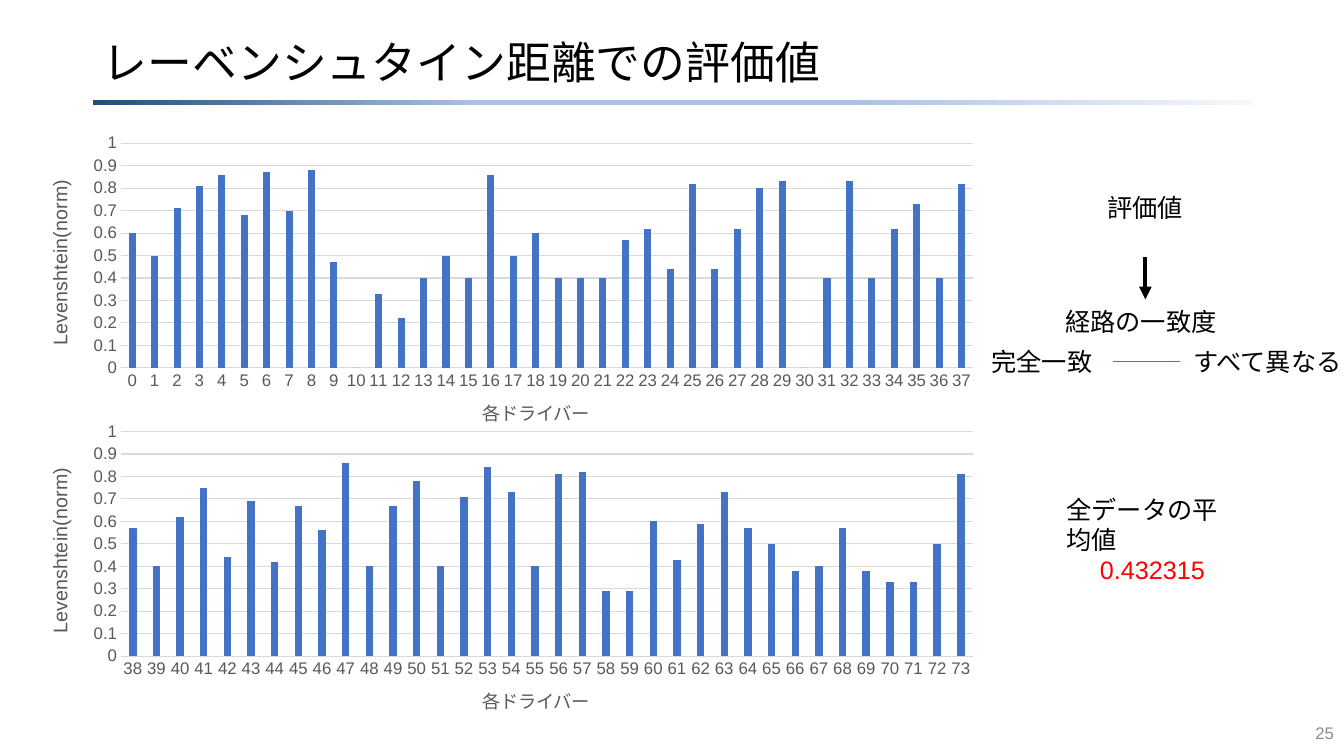
from lxml.etree import SubElement
from pptx import Presentation
from pptx.chart.data import CategoryChartData
from pptx.dml.color import RGBColor
from pptx.enum.chart import XL_CHART_TYPE, XL_TICK_MARK
from pptx.enum.shapes import MSO_CONNECTOR, MSO_SHAPE
from pptx.enum.text import MSO_ANCHOR, PP_ALIGN
from pptx.oxml import parse_xml
from pptx.oxml.ns import nsdecls, qn
from pptx.util import Inches, Pt

BLACK = RGBColor(0x00, 0x00, 0x00)
WHITE = RGBColor(0xFF, 0xFF, 0xFF)
RED = RGBColor(0xFF, 0x00, 0x00)
BLUE = RGBColor(0x44, 0x72, 0xC4)
AXIS_GRAY = RGBColor(0x59, 0x59, 0x59)
GRID_GRAY = RGBColor(0xD9, 0xD9, 0xD9)
NUMBER_GRAY = RGBColor(0x8C, 0x8C, 0x8C)
NAVY = RGBColor(0x1F, 0x4E, 0x79)
LIGHT_BLUE = RGBColor(0xAB, 0xC0, 0xE4)
PALE_BLUE = RGBColor(0xF6, 0xF8, 0xFC)

FIRST_DRIVERS = [
    0.6, 0.5, 0.71, 0.81, 0.86, 0.68, 0.87, 0.7, 0.88, 0.47, 0, 0.33, 0.22,
    0.4, 0.5, 0.4, 0.86, 0.5, 0.6, 0.4, 0.4, 0.4, 0.57, 0.62, 0.44, 0.82,
    0.44, 0.62, 0.8, 0.83, 0, 0.4, 0.83, 0.4, 0.62, 0.73, 0.4, 0.82]
LATER_DRIVERS = [
    0.57, 0.4, 0.62, 0.75, 0.44, 0.69, 0.42, 0.67, 0.56, 0.86, 0.4, 0.67,
    0.78, 0.4, 0.71, 0.84, 0.73, 0.4, 0.81, 0.82, 0.29, 0.29, 0.6, 0.43,
    0.59, 0.73, 0.57, 0.5, 0.38, 0.4, 0.57, 0.38, 0.33, 0.33, 0.5, 0.81]


def place(parent, index, **fractions):
    """Give a chart part a manual layout, in fractions of the chart."""
    for old_layout in parent.findall(qn("c:layout")):
        parent.remove(old_layout)
    layout = parse_xml(f"<c:layout {nsdecls('c')}><c:manualLayout/></c:layout>")
    manual = layout[0]
    if "w" in fractions:
        SubElement(manual, qn("c:layoutTarget")).set("val", "inner")
    for side in ("x", "y"):
        SubElement(manual, qn(f"c:{side}Mode")).set("val", "edge")
    for name, value in fractions.items():
        SubElement(manual, qn(f"c:{name}")).set("val", str(value))
    parent.insert(index, layout)


class SlideBuilder:
    """Holds the text style and the slide being built."""
    font_name = "Arial"

    def __init__(self, presentation):
        self.slide = presentation.slides.add_slide(presentation.slide_layouts[5])
        self.slide.background.fill.solid()
        self.slide.background.fill.fore_color.rgb = WHITE

    def style(self, font, size, color):
        font.name = self.font_name
        font.size = Pt(size)
        font.bold = False
        font.color.rgb = color

    def title(self, text, left, top, width, height):
        title = self.slide.shapes.title
        title.left, title.top = Inches(left), Inches(top)
        title.width, title.height = Inches(width), Inches(height)
        frame = title.text_frame
        frame.text = text
        frame.vertical_anchor = MSO_ANCHOR.MIDDLE
        paragraph = frame.paragraphs[0]
        paragraph.alignment = PP_ALIGN.LEFT
        paragraph.line_spacing = 0.9
        self.style(paragraph.runs[0].font, 32, BLACK)

    def gradient_bar(self, left, top, width, height, stops):
        bar = self.slide.shapes.add_shape(
            MSO_SHAPE.RECTANGLE, Inches(left), Inches(top), Inches(width), Inches(height))
        bar.shadow.inherit = False
        bar.line.fill.background()
        bar.fill.gradient()
        bar.fill.gradient_angle = 0
        stop_list = bar.element.spPr.find(".//" + qn("a:gsLst"))
        for old_stop in list(stop_list):
            stop_list.remove(old_stop)
        for percent, color in stops:
            stop = SubElement(stop_list, qn("a:gs"))
            stop.set("pos", str(percent * 1000))
            SubElement(stop, qn("a:srgbClr")).set("val", str(color))

    def text(self, lines, left, top, width, height, size=18,
             alignment=PP_ALIGN.CENTER, anchor=MSO_ANCHOR.TOP, tab=None):
        """Add a text box; lines holds (text, color) or (text, color, alignment)."""
        box = self.slide.shapes.add_textbox(
            Inches(left), Inches(top), Inches(width), Inches(height))
        frame = box.text_frame
        frame.word_wrap = True
        frame.vertical_anchor = anchor
        for index, (text, color, *own_alignment) in enumerate(lines):
            paragraph = frame.add_paragraph() if index else frame.paragraphs[0]
            paragraph.text = text
            paragraph.alignment = own_alignment[0] if own_alignment else alignment
            if tab:
                properties = paragraph.runs[0].font and paragraph.line_spacing
                properties = box.element.find(".//" + qn("a:pPr"))
                stop = SubElement(SubElement(properties, qn("a:tabLst")), qn("a:tab"))
                stop.set("pos", str(Inches(tab)))
                stop.set("algn", "l")
            self.style(paragraph.runs[0].font, size, color)

    def line(self, start, end, color, width, arrow=False):
        points = [Inches(value) for value in (*start, *end)]
        connector = self.slide.shapes.add_connector(MSO_CONNECTOR.STRAIGHT, *points)
        connector.line.color.rgb = color
        connector.line.width = Pt(width)
        properties = connector.element.spPr
        if arrow:
            SubElement(properties.find(qn("a:ln")), qn("a:tailEnd")).set("type", "triangle")
        SubElement(properties, qn("a:effectLst"))

    def axis(self, axis, title, size, x, y):
        axis.major_tick_mark = axis.minor_tick_mark = XL_TICK_MARK.NONE
        self.style(axis.tick_labels.font, 12, AXIS_GRAY)
        frame = axis.axis_title.text_frame
        frame.text = title
        self.style(frame.paragraphs[0].runs[0].font, size, AXIS_GRAY)
        place(axis.axis_title.element, 1, x=x, y=y)

    def chart(self, first_driver, values, left, top, width, height):
        data = CategoryChartData()
        data.categories = [str(first_driver + index) for index in range(len(values))]
        data.add_series("Series 1", values)
        chart = self.slide.shapes.add_chart(
            XL_CHART_TYPE.COLUMN_CLUSTERED, Inches(left), Inches(top),
            Inches(width), Inches(height), data).chart
        chart.has_legend = False
        chart.has_title = False
        self.style(chart.font, 10, BLACK)

        plot = chart.plots[0]
        plot.gap_width = 219
        plot.overlap = -27
        plot.vary_by_categories = False
        fill = plot.series[0].format.fill
        fill.solid()
        fill.fore_color.rgb = BLUE

        category_axis, value_axis = chart.category_axis, chart.value_axis
        self.axis(category_axis, "各ドライバー", 13, x=0.47, y=0.82)
        self.axis(value_axis, "Levenshtein(norm)", 14, x=0.02, y=0.15)
        body = value_axis.axis_title.element.find(".//" + qn("a:bodyPr"))
        body.set("rot", "-5400000")
        body.set("vert", "horz")
        value_axis.minimum_scale = 0
        value_axis.maximum_scale = 1
        value_axis.major_unit = 0.1
        value_axis.format.line.fill.background()
        for line in (category_axis.format.line, value_axis.major_gridlines.format.line):
            line.color.rgb = GRID_GRAY
            line.width = Pt(0.75)
        plot_area = chart.element.find(".//" + qn("c:plotArea"))
        place(plot_area, 0, x=0.1, y=0.05, w=0.88, h=0.69)


def main():
    presentation = Presentation()
    presentation.slide_width = Inches(13.33)
    presentation.slide_height = Inches(7.5)
    builder = SlideBuilder(presentation)

    builder.gradient_bar(0.92, 0.99, 11.5, 0.05, [
        (0, NAVY), (33, LIGHT_BLUE), (65, LIGHT_BLUE), (100, PALE_BLUE)])
    builder.title("レーベンシュタイン距離での評価値", 0.92, 0.33, 11.5, 0.62)
    builder.chart(0, FIRST_DRIVERS, 0.24, 1.26, 9.6, 3.23)
    builder.chart(len(FIRST_DRIVERS), LATER_DRIVERS, 0.24, 4.12, 9.6, 3.23)

    builder.text([("評価値", BLACK)], 10.49, 1.86, 1.73, 0.4)
    builder.line((11.36, 2.55), (11.36, 2.97), BLACK, 3, arrow=True)
    builder.text([("経路の一致度", BLACK)], 10.45, 2.99, 1.73, 0.4)
    builder.text([("完全一致\tすべて異なる", BLACK)], 9.44, 3.39, 4.26, 0.4, tab=2)
    builder.line((11.04, 3.59), (11.7, 3.59), BLUE, 0.5)
    builder.text([("全データの平均値", BLACK, PP_ALIGN.LEFT), ("0.432315", RED)],
                 10.48, 4.85, 1.9, 0.98)
    builder.text([("25", NUMBER_GRAY)], 10.33, 7.07, 3, 0.4, size=12,
                 alignment=PP_ALIGN.RIGHT, anchor=MSO_ANCHOR.MIDDLE)
    presentation.save("out.pptx")


if __name__ == "__main__":
    main()
